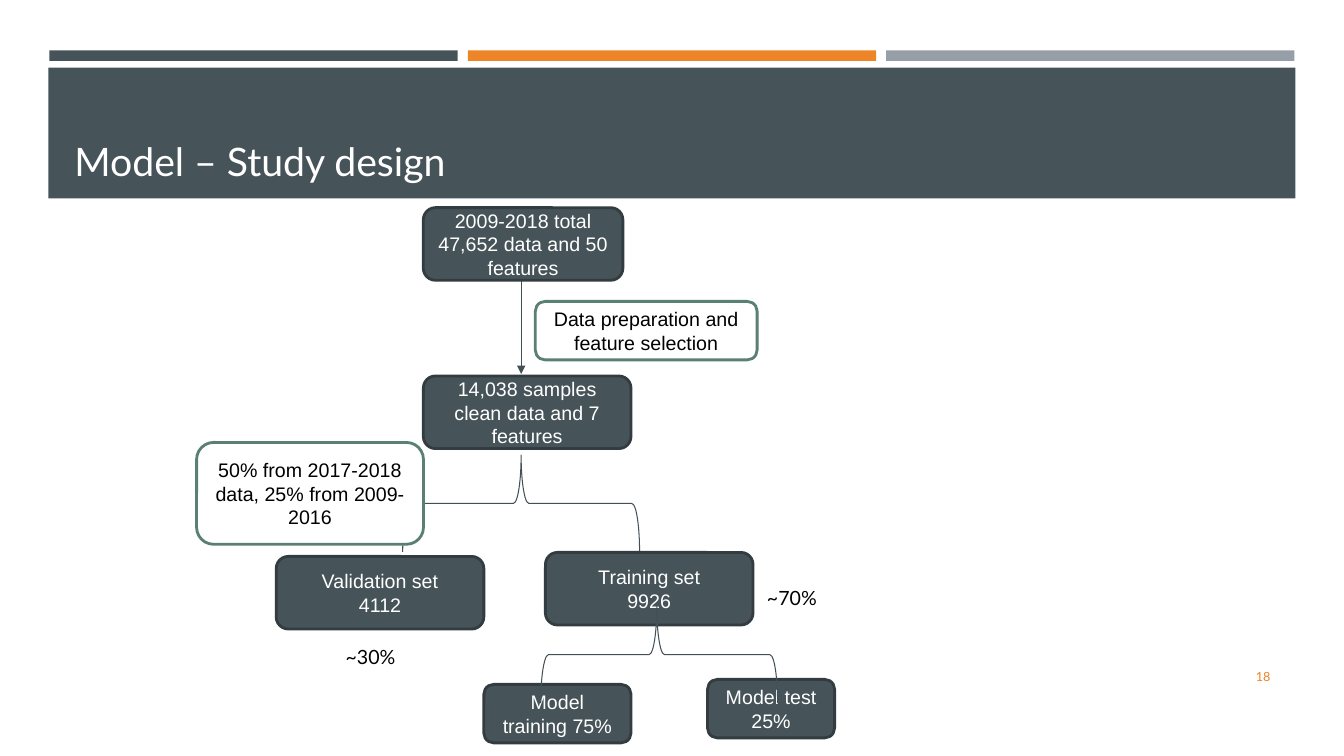
from dataclasses import dataclass

from lxml.etree import SubElement
from pptx import Presentation
from pptx.dml.color import RGBColor
from pptx.enum.shapes import MSO_CONNECTOR as Connector, MSO_SHAPE as Kind
from pptx.enum.text import MSO_ANCHOR as Anchor, PP_ALIGN as Align
from pptx.oxml.ns import qn
from pptx.util import Inches, Pt


@dataclass(frozen=True)
class Theme:
    """Colours, fonts and type sizes of the slide."""
    slate: str = "465359"
    slate_edge: str = "333C40"
    wire: str = "435156"
    orange: str = "ED8428"
    grey: str = "969FA7"
    green: str = "5A8071"
    white: str = "FFFFFF"
    black: str = "000000"
    heading_font: str = "Lato"
    box_font: str = "Arial"
    title_size: float = 28
    body_size: float = 14
    number_size: float = 9
    edge_width: float = 2
    wire_width: float = 0.75


theme = Theme()
presentation = Presentation()
presentation.slide_width, presentation.slide_height = Inches(13.33), Inches(7.5)
slide = presentation.slides.add_slide(presentation.slide_layouts[6])

# The grid has 100 columns and 100 rows; areas are left, top, width, height.
COLUMN = presentation.slide_width / 100
ROW = presentation.slide_height / 100


def add_block(kind, area, fill=None, line=None, line_width=theme.edge_width):
    """Place a preset shape, or a text box when kind is None, on the grid."""
    lengths = [round(share * unit) for share, unit in zip(area, (COLUMN, ROW) * 2)]
    if kind is None:
        return slide.shapes.add_textbox(*lengths)
    shape = slide.shapes.add_shape(kind, *lengths)
    shape.shadow.inherit = False
    for paint, color in ((shape.fill, fill), (shape.line.fill, line)):
        if color:
            paint.solid()
            paint.fore_color.rgb = RGBColor.from_string(color)
        else:
            paint.background()
    if line:
        shape.line.width = Pt(line_width)
    return shape


def write(shape, lines, font, size, color, align=Align.LEFT, anchor=Anchor.MIDDLE):
    """Fill a shape with one paragraph per line of text."""
    frame = shape.text_frame
    frame.word_wrap = True
    frame.vertical_anchor = anchor
    for index, line in enumerate(lines):
        paragraph = frame.add_paragraph() if index else frame.paragraphs[0]
        paragraph.alignment = align
        run = paragraph.add_run()
        run.text = line
        run.font.name, run.font.size = font, Pt(size)
        run.font.color.rgb = RGBColor.from_string(color)


# Header
for index, color in enumerate((theme.slate, theme.orange, theme.grey)):
    add_block(Kind.RECTANGLE, (3.68 + 31.13 * index, 6.67, 30.38, 1.37), color)
add_block(Kind.RECTANGLE, (3.6, 8.93, 92.78, 17.33), theme.slate)
write(add_block(None, (4.8, 10.27, 90.45, 14.8)), ["Model – Study design"],
      theme.heading_font, theme.title_size, theme.white, anchor=Anchor.BOTTOM)
write(add_block(None, (86.63, 86.8, 8.63, 5.33)), ["18"],
      theme.heading_font, theme.number_size, theme.orange, Align.RIGHT)

# Arrow from all data to clean data
arrow = slide.shapes.add_connector(
    Connector.STRAIGHT, round(38.78 * COLUMN), round(37.07 * ROW),
    round(38.78 * COLUMN), round(49.47 * ROW))
arrow.line.color.rgb = RGBColor.from_string(theme.wire)
arrow.line.width = Pt(theme.wire_width)
arrow_properties = arrow.element.find(qn("p:spPr"))
SubElement(arrow_properties.find(qn("a:ln")), qn("a:tailEnd"), type="triangle")
SubElement(arrow_properties, qn("a:effectLst"))

# Steps (dark) and the notes beside them (light)
STEP = (theme.slate, theme.slate_edge, theme.white)
NOTE = (theme.white, theme.green, theme.black)
SET_SIZE = (15.45, 9.6)
boxes = [
    (STEP, (31.5, 27.47, 14.85, 9.6), ["2009-2018 total 47,652 data and 50 features"]),
    (STEP, (31.5, 49.73, *SET_SIZE), ["14,038 samples clean data and 7 features"]),
    (NOTE, (39.83, 39.87, 16.5, 7.73), ["Data preparation and feature selection"]),
    (STEP, (20.55, 73.6, *SET_SIZE), ["Validation set", "4112"]),
    (NOTE, (14.63, 58.53, 16.88, 13.47), ["50% from 2017-2018 data, 25% from 2009-2016"]),
    (STEP, (40.58, 73.07, *SET_SIZE), ["Training set", "9926"]),
    (STEP, (52.65, 89.87, 9.45, 7.73), ["Model test 25%"]),
    (STEP, (36, 90.53, 10.95, 7.73), ["Model training 75%"]),
]

# Each split is a brace turned to point up; the first lies below the boxes.
splits = [(35.18, 50.93, 0.5), (45.45, 70.93, 0.49)]
braces = []
for left, top, point in splits:
    brace = add_block(Kind.RIGHT_BRACE, (left, top, 7.2, 31.33),
                      line=theme.wire, line_width=theme.wire_width)
    brace.rotation = 270
    brace.adjustments[0], brace.adjustments[1] = 0.08, point
    braces.append(brace)

for (fill, edge, ink), area, lines in boxes:
    box = add_block(Kind.ROUNDED_RECTANGLE, area, fill, edge)
    write(box, lines, theme.box_font, theme.body_size, ink, Align.CENTER)
slide.shapes.element.append(braces[-1].element)

# Shares of the two sets
for left, top, share in ((24.98, 84, "~30%"), (56.33, 76.13, "~70%")):
    label = add_block(None, (left, top, 5.7, 5.87))
    label.text_frame.margin_top = label.text_frame.margin_bottom = Inches(0.1)
    write(label, [share], theme.heading_font, theme.body_size, theme.black,
          anchor=Anchor.TOP)

presentation.save("out.pptx")
